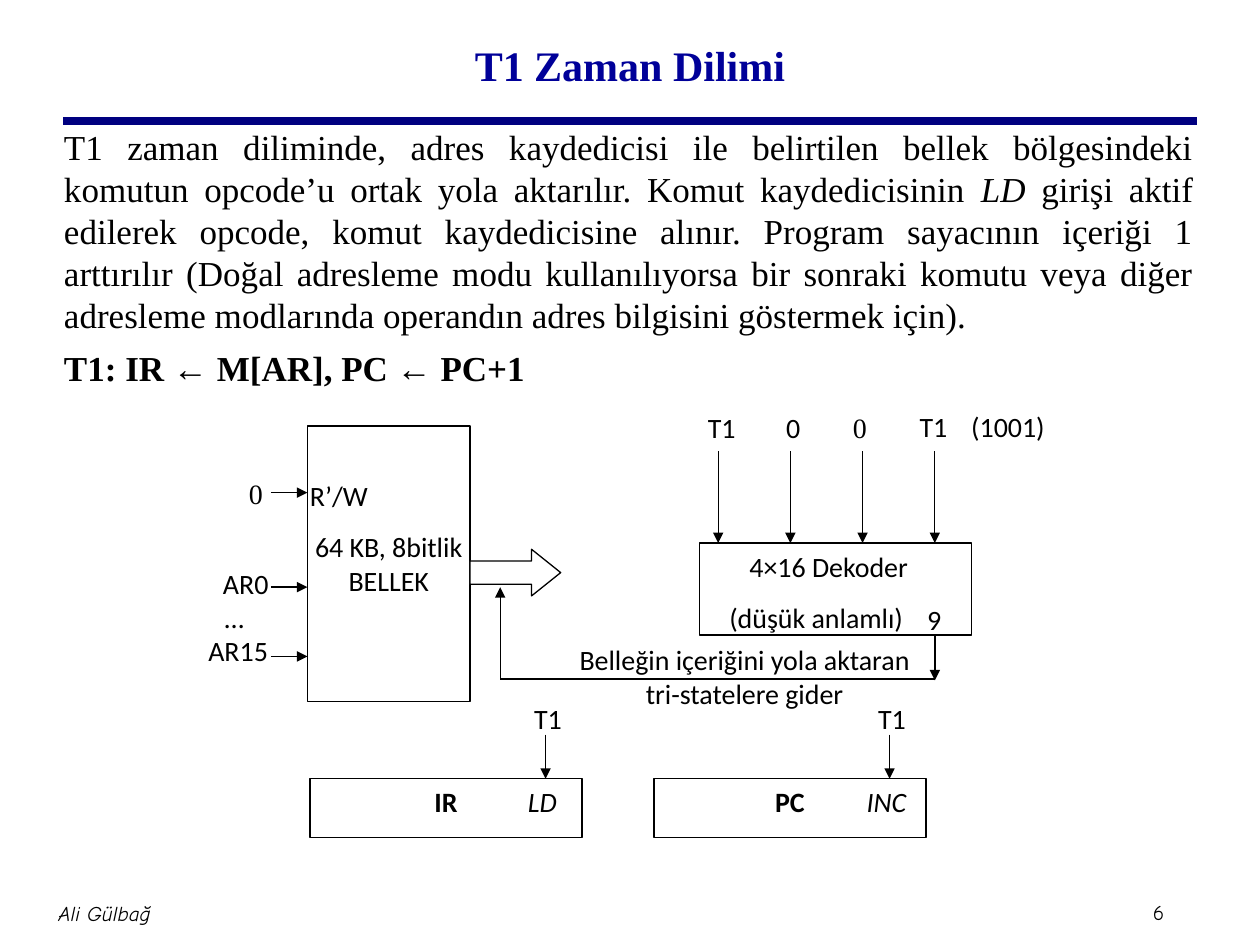
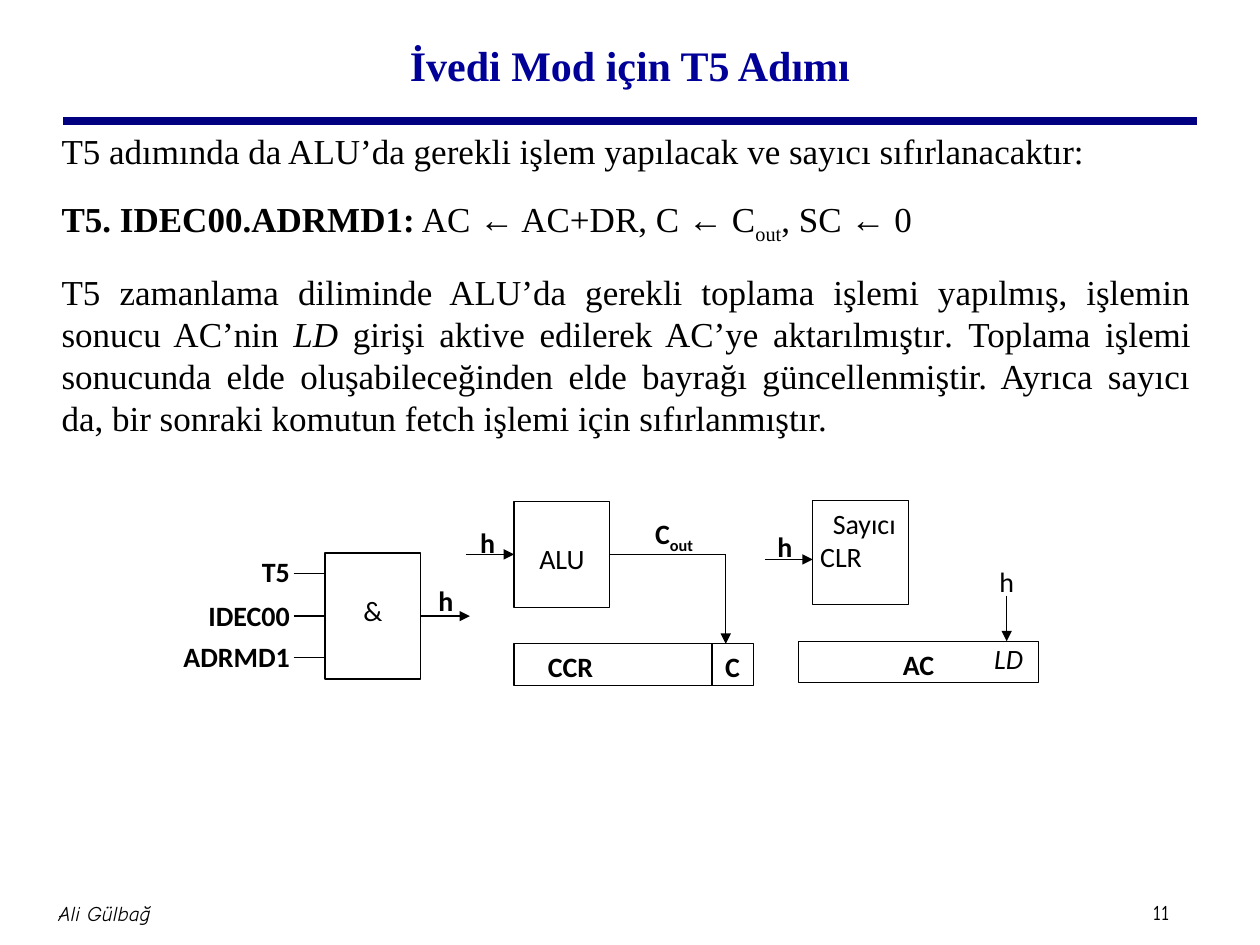
from dataclasses import dataclass
from typing import NamedTuple

from lxml.etree import SubElement
from pptx import Presentation
from pptx.dml.color import RGBColor
from pptx.enum.shapes import MSO_CONNECTOR, MSO_SHAPE
from pptx.enum.text import MSO_ANCHOR, PP_ALIGN
from pptx.oxml.ns import qn
from pptx.util import Inches, Pt

NAVY = RGBColor(0x00, 0x00, 0x80)
TITLE_BLUE = RGBColor(0x00, 0x00, 0x99)
BLACK = RGBColor(0x00, 0x00, 0x00)
WHITE = RGBColor(0xFF, 0xFF, 0xFF)
SERIF, SANS, COMIC = "Times New Roman", "Calibri", "Comic Neue"
LEFT, CENTER, RIGHT, JUSTIFY = PP_ALIGN.LEFT, PP_ALIGN.CENTER, PP_ALIGN.RIGHT, PP_ALIGN.JUSTIFY
NORMAL_INSETS = (0.1, 0.05, 0.1, 0.05)
FOOTER_INSETS = (0.05,) * 4
NO_INSETS = (0,) * 4


class Run(NamedTuple):
    """Text with its own style: bold, italic or sub."""
    text: str
    style: str = ""


class Frame(NamedTuple):
    """Left, top, width and height in inches."""
    x: float
    y: float
    w: float
    h: float


class Wire(NamedTuple):
    """A straight line in inches, with an arrowhead at its end if wanted."""
    x1: float
    y1: float
    x2: float
    y2: float
    arrow: bool = True


@dataclass
class Para:
    """A paragraph and its formatting."""
    runs: tuple[Run, ...]
    align: PP_ALIGN = LEFT
    font: str = SANS
    size: float = 16
    color: RGBColor = BLACK
    bold: bool = False
    italic: bool = False
    before: float = 0
    indent: float = 0


@dataclass
class Label:
    """A short caption in the diagram."""
    text: str
    x: float
    y: float
    w: float = 0.58
    h: float = 0.41
    align: PP_ALIGN = LEFT
    font: str = SANS
    bold: bool = False
    italic: bool = False
    insets: tuple[float, ...] = NORMAL_INSETS


def para(text: str, **fmt) -> Para:
    """Make a paragraph of one run."""
    return Para((Run(text),), **fmt)


def prose(*runs: Run, before: float = 0) -> Para:
    """Make a justified body paragraph."""
    return Para(runs, JUSTIFY, SERIF, 20, before=before)


def write(tf, paras: list[Para], insets=NORMAL_INSETS, anchor=MSO_ANCHOR.TOP) -> None:
    """Fill a text frame with paragraphs."""
    tf.word_wrap = True
    tf.vertical_anchor = anchor
    tf.margin_left, tf.margin_top, tf.margin_right, tf.margin_bottom = map(Inches, insets)
    for i, item in enumerate(paras):
        p = tf.add_paragraph() if i else tf.paragraphs[0]
        p.alignment = item.align
        if item.before:
            p.space_before = Pt(item.before)
        if item.indent:
            pPr = p._p.get_or_add_pPr()
            pPr.set("marL", str(Inches(item.indent)))
            pPr.set("indent", "0")
        p.font.name, p.font.size = item.font, Pt(item.size)
        p.font.color.rgb = item.color
        p.font.bold, p.font.italic = item.bold, item.italic
        for run in item.runs:
            r = p.add_run()
            r.text = run.text
            if run.style == "bold":
                r.font.bold = True
            elif run.style == "italic":
                r.font.italic = True
            elif run.style == "sub":
                r._r.get_or_add_rPr().set("baseline", "-25000")


def add_text(s, frame: Frame, paras: list[Para], insets=NORMAL_INSETS, anchor=MSO_ANCHOR.TOP) -> None:
    """Add a text box."""
    write(s.shapes.add_textbox(*map(Inches, frame)).text_frame, paras, insets, anchor)


def add_labels(s, labels: list[Label]) -> None:
    """Add diagram captions."""
    for lb in labels:
        p = para(lb.text, align=lb.align, font=lb.font, bold=lb.bold, italic=lb.italic)
        add_text(s, Frame(lb.x, lb.y, lb.w, lb.h), [p], lb.insets)


def add_block(s, frame: Frame, paras: list[Para], insets=NORMAL_INSETS, kind=MSO_SHAPE.RECTANGLE):
    """Add an outlined white block of the diagram."""
    sp = s.shapes.add_shape(kind, *map(Inches, frame))
    sp.shadow.inherit = False
    sp.fill.solid()
    sp.fill.fore_color.rgb = WHITE
    sp.line.color.rgb, sp.line.width = BLACK, Pt(0.75)
    if paras:
        write(sp.text_frame, paras, insets)
    return sp


def add_wire(s, wire: Wire, color: RGBColor = BLACK, width: float = 0.75):
    """Add a straight connector."""
    ends = map(Inches, wire[:4])
    cx = s.shapes.add_connector(MSO_CONNECTOR.STRAIGHT, *ends)
    cx.line.color.rgb, cx.line.width = color, Pt(width)
    if wire.arrow:
        SubElement(cx.line._get_or_add_ln(), qn("a:tailEnd"), type="triangle")
    SubElement(cx._element.spPr, qn("a:effectLst"))
    return cx


def add_base(prs, title: str, number: str):
    """Add a slide with its title, band and footer."""
    s = prs.slides.add_slide(prs.slide_layouts[6])
    add_wire(s, Wire(0.5, 0.96, 9.5, 0.96, False), NAVY, 4.5)
    add_text(s, Frame(9.1, 7.09, 0.47, 0.3), [para(number, font=COMIC, size=12)],
             FOOTER_INSETS, MSO_ANCHOR.MIDDLE)
    add_text(s, Frame(-0.96, 7, 3.58, 0.5),
             [para("Ali Gülbağ", align=CENTER, font=COMIC, size=12, italic=True)],
             FOOTER_INSETS, MSO_ANCHOR.MIDDLE)
    add_text(s, Frame(0.75, 0.08, 8.5, 0.86),
             [para(title, align=CENTER, font=SERIF, size=24, color=TITLE_BLUE, bold=True)],
             anchor=MSO_ANCHOR.MIDDLE)
    return s


def build_t1(prs) -> None:
    """Build the T1 time slot slide."""
    s = add_base(prs, "T1 Zaman Dilimi", "6")
    add_text(s, Frame(0.41, 0.95, 9.16, 1.75), [prose(
        Run("T1 zaman diliminde, adres kaydedicisi ile belirtilen bellek bölgesindeki komutun "
            "opcode’u ortak yola aktarılır. Komut kaydedicisinin "),
        Run("LD", "italic"),
        Run(" girişi aktif edilerek opcode, komut kaydedicisine alınır. Program sayacının içeriği 1 "
            "arttırılır (Doğal adresleme modu kullanılıyorsa bir sonraki komutu veya diğer "
            "adresleme modlarında operandın adres bilgisini göstermek için)."))])
    add_text(s, Frame(0.41, 2.7, 5.5, 0.44),
             [para("T1: IR ← M[AR], PC ← PC+1", font=SERIF, size=20, bold=True)])

    for register, control, x in (("IR", "LD", 2.46), ("PC", "INC", 5.19)):
        add_block(s, Frame(x, 6.18, 2.16, 0.47), [para(register, align=CENTER, bold=True)])
        add_wire(s, Wire(x + 1.87, 5.83, x + 1.87, 6.18))
        add_labels(s, [Label(control, x + 1.34, 6.18, 1.01, align=CENTER, italic=True),
                       Label("T1", x + 1.68, 5.52)])

    add_block(s, Frame(2.44, 3.38, 1.29, 2.19),
              [para("R’/W"), para("64 KB, 8bitlik BELLEK", align=CENTER, before=10)],
              (0.02, 0.42, 0.02, 0.01))
    for y in (3.91, 4.66, 5.21):
        add_wire(s, Wire(2.15, y, 2.44, y))
    bus = add_block(s, Frame(3.73, 4.36, 0.72, 0.37), [], kind=MSO_SHAPE.RIGHT_ARROW)
    bus.adjustments[0], bus.adjustments[1] = 0.5, 0.625

    add_block(s, Frame(5.55, 4.31, 2.16, 0.73),
              [para("4×16 Dekoder", indent=0.3), para("(düşük anlamlı)", indent=0.14, before=10)])
    for i in range(4):
        x = 5.7 + i * 0.573
        add_wire(s, Wire(x, 3.58, x, 4.31))
    for wire in (Wire(7.42, 5.04, 7.42, 5.4), Wire(7.42, 5.39, 3.97, 5.39, False),
                 Wire(3.97, 5.39, 3.97, 4.66)):
        add_wire(s, wire)
    add_labels(s, [
        Label("T1", 5.52, 3.21),
        Label("0", 6.14, 3.21),
        Label("0", 6.67, 3.21, font=SERIF),
        Label("T1", 7.2, 3.2),
        Label("(1001)", 7.61, 3.2, 0.95),
        Label("9", 7.26, 4.73, 0.4),
        Label("0", 1.74, 3.73, align=CENTER, font=SERIF),
        Label("AR0", 1.59, 4.45, 0.72, align=CENTER),
        Label("…", 1.5, 4.72, 0.72, align=CENTER),
        Label("AR15", 1.53, 4.98, 0.72, align=CENTER),
        Label("Belleğin içeriğini yola aktaran tri-statelere gider", 4.4, 5.05, 3.02, 0.91, CENTER),
    ])


def build_t5(prs) -> None:
    """Build the T5 step slide."""
    s = add_base(prs, "İvedi Mod için T5 Adımı", "11")
    add_text(s, Frame(0.39, 0.98, 9.16, 2.63), [
        prose(Run("T5 adımında da ALU’da gerekli işlem yapılacak ve sayıcı sıfırlanacaktır:")),
        prose(Run("T5. IDEC00.ADRMD1:", "bold"), Run(" AC ← AC+DR, C ← C"), Run("out", "sub"),
              Run(", SC ← 0"), before=14.7),
        prose(Run("T5 zamanlama diliminde ALU’da gerekli toplama işlemi yapılmış, işlemin sonucu "
                  "AC’nin "),
              Run("LD ", "italic"), Run("girişi aktive edilerek AC’ye aktarılmıştır"),
              Run(". ", "italic"),
              Run("Toplama işlemi sonucunda elde oluşabileceğinden elde bayrağı güncellenmiştir. "
                  "Ayrıca sayıcı da, bir sonraki komutun fetch işlemi için sıfırlanmıştır."),
              before=14.7)])

    gate_insets = (0.1, 0.32, 0.1, 0.05)
    gate = add_block(s, Frame(2.58, 4.39, 0.76, 1), [para("&", align=CENTER)], gate_insets)
    alu = add_block(s, Frame(4.08, 3.98, 0.76, 0.84), [para("ALU", align=CENTER)], gate_insets)
    add_block(s, Frame(6.45, 3.97, 0.76, 0.83),
              [para("Sayıcı", indent=0.16), para("CLR", indent=0.06)], (0, 0.05, 0.1, 0.05))
    add_block(s, Frame(4.08, 5.11, 1.9, 0.33), [para("CCR", bold=True, indent=0.17)])
    add_block(s, Frame(6.34, 5.09, 1.9, 0.33), [para("AC", align=CENTER, bold=True)])

    for wire in (Wire(2.33, 4.55, 2.58, 4.55, False), Wire(2.33, 5.22, 2.58, 5.22, False),
                 Wire(7.99, 4.73, 7.99, 5.09), Wire(6.07, 4.44, 6.45, 4.44),
                 Wire(5.65, 5.11, 5.65, 5.44, False), Wire(5.76, 4.4, 5.76, 5.11)):
        add_wire(s, wire)
    add_wire(s, Wire(2.33, 4.89, 2.58, 4.89, False)).end_connect(gate, 1)
    add_wire(s, Wire(3.34, 4.89, 3.73, 4.89)).begin_connect(gate, 3)
    add_wire(s, Wire(3.7, 4.4, 4.08, 4.4)).end_connect(alu, 1)
    add_wire(s, Wire(4.84, 4.4, 5.76, 4.4, False)).begin_connect(alu, 3)

    add_labels(s, [Label(name, 1.3, y, 1, 0.33, RIGHT, bold=True, insets=NO_INSETS)
                   for name, y in (("T5", 4.4), ("IDEC00", 4.75), ("ADRMD1", 5.08))])
    add_labels(s, [Label("h", x, y, 0.25, 0.33, bold=True, insets=NO_INSETS)
                   for x, y in ((3.48, 4.63), (3.81, 4.17), (6.17, 4.2))])
    add_labels(s, [
        Label("C", 5.65, 5.11, 0.33, 0.33, CENTER, bold=True, insets=(0, 0.05, 0, 0.05)),
        Label("LD", 7.56, 5.04, 0.89, 0.36, CENTER, italic=True),
        Label("h", 7.34, 4.43, 1.3, 0.5, CENTER),
    ])
    add_text(s, Frame(5.2, 4.1, 0.58, 0.33),
             [Para((Run("C"), Run("out", "sub")), bold=True)], NO_INSETS)


def main() -> None:
    """Build and save the deck."""
    prs = Presentation()
    prs.slide_width, prs.slide_height = Inches(10), Inches(7.5)
    build_t1(prs)
    build_t5(prs)
    prs.save("out.pptx")


if __name__ == "__main__":
    main()
